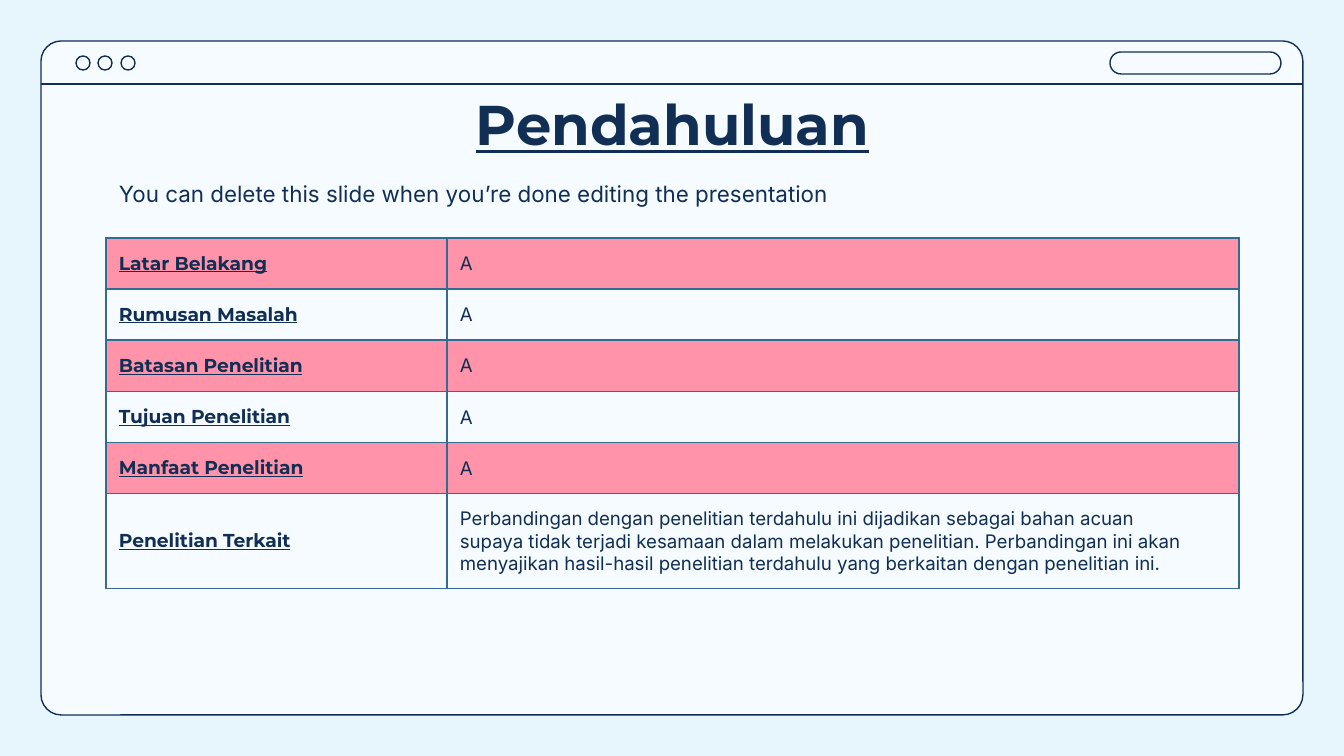
from lxml import etree
from pptx import Presentation
from pptx.dml.color import RGBColor
from pptx.enum.shapes import MSO_CONNECTOR, MSO_SHAPE
from pptx.enum.text import MSO_ANCHOR, MSO_AUTO_SIZE, PP_ALIGN
from pptx.oxml.ns import qn
from pptx.util import Emu, Pt

STRAIGHT = MSO_CONNECTOR.STRAIGHT
ROUNDED, OVAL = MSO_SHAPE.ROUNDED_RECTANGLE, MSO_SHAPE.OVAL
TOP, MIDDLE = MSO_ANCHOR.TOP, MSO_ANCHOR.MIDDLE
LEFT, CENTER = PP_ALIGN.LEFT, PP_ALIGN.CENTER

PX = 914400 / 134.4
INSET = 13
COLORS = {
    "background": "E6F6FC",
    "window": "F5FBFF",
    "navy": "112E54",
    "pink": "FF93A9",
    "border": "356B90",
}
HEADING = {"name": "Montserrat", "bold": True, "underline": True}
BODY = {"name": "Inter", "bold": False, "underline": False}


def px(*lengths):
    """Turn pixel lengths into a list of EMU lengths."""
    return [Emu(round(length * PX)) for length in lengths]


def write(frame, lines, size, font_format, align=LEFT):
    """Fill a text frame with one paragraph per line."""
    for index, line in enumerate(lines):
        para = frame.paragraphs[0] if index == 0 else frame.add_paragraph()
        para.alignment = align
        span = para.add_run()
        span.text = line
        span.font.size = Pt(size)
        span.font.color.rgb = RGBColor.from_string(COLORS["navy"])
        for name, value in font_format.items():
            setattr(span.font, name, value)


deck = Presentation()
deck.slide_width, deck.slide_height = px(1344, 756)
page = deck.slides.add_slide(deck.slide_layouts[5])
page.background.fill.solid()
page.background.fill.fore_color.rgb = RGBColor.from_string(COLORS["background"])

# Browser window: frame, three buttons, address bar, divider
window_parts = [(ROUNDED, (41, 41, 1262, 674), 0.03, "window")]
window_parts += [(OVAL, (76 + 45 * i // 2, 56, 14, 14), None, None) for i in range(3)]
window_parts.append((ROUNDED, (1110, 52, 171, 22), 0.5, None))
for kind, place, rounding, fill in window_parts:
    part = page.shapes.add_shape(kind, *px(*place))
    part.shadow.inherit = False
    part.line.color.rgb = RGBColor.from_string(COLORS["navy"])
    part.line.width = Pt(0.75)
    if rounding:
        part.adjustments[0] = rounding
    if fill:
        part.fill.solid()
        part.fill.fore_color.rgb = RGBColor.from_string(COLORS[fill])
    else:
        part.fill.background()

divider = page.shapes.add_connector(STRAIGHT, *px(41, 84, 1303, 84))
divider.line.color.rgb = RGBColor.from_string(COLORS["navy"])
divider.line.width = Pt(0.75)
etree.SubElement(divider.element.spPr, qn("a:effectLst"))

# Title and subtitle, with the title brought in front of the window
title = page.shapes.title
title.element.getparent().append(title.element)
title.left, title.top, title.width, title.height = px(106, 77, 1133, 85)
subtitle = page.shapes.add_textbox(*px(106, 167, 1133, 51))
frame_format = {"word_wrap": True, "auto_size": MSO_AUTO_SIZE.NONE, "vertical_anchor": TOP}
for side in ("left", "top", "right", "bottom"):
    frame_format[f"margin_{side}"] = px(INSET)[0]
for box in (title, subtitle):
    for name, value in frame_format.items():
        setattr(box.text_frame, name, value)
write(title.text_frame, ["Pendahuluan"], 30, HEADING, CENTER)
write(
    subtitle.text_frame,
    ["You can delete this slide when you’re done editing the presentation"],
    12,
    BODY,
)

# Table of sections, every other row pink
sections = [
    ("Latar Belakang", ["A"]),
    ("Rumusan Masalah", ["A"]),
    ("Batasan Penelitian", ["A"]),
    ("Tujuan Penelitian", ["A"]),
    ("Manfaat Penelitian", ["A"]),
    ("Penelitian Terkait", [
        "Perbandingan dengan penelitian terdahulu ini dijadikan sebagai bahan acuan",
        "supaya tidak terjadi kesamaan dalam melakukan penelitian. Perbandingan ini akan",
        "menyajikan hasil-hasil penelitian terdahulu yang berkaitan dengan penelitian ini.",
    ]),
]
column_widths = px(341, 792)
row_heights = px(51, 51, 52, 51, 51, 95)
table = page.shapes.add_table(
    len(sections), 2, *px(106, 238), sum(column_widths), sum(row_heights)
).table
table.first_row = table.horz_banding = False
for column, width in zip(table.columns, column_widths):
    column.width = width

for index, (row, height, (name, lines)) in enumerate(zip(table.rows, row_heights, sections)):
    row.height = height
    for cell, content, font_format in zip(row.cells, ([name], lines), (HEADING, BODY)):
        cell.vertical_anchor = MIDDLE
        cell.margin_left, cell.margin_top, cell.margin_right, cell.margin_bottom = px(*[INSET] * 4)
        write(cell.text_frame, content, 10, font_format)
        properties = cell._tc.get_or_add_tcPr()
        for side in ("L", "R", "T", "B"):
            border = etree.SubElement(properties, qn(f"a:ln{side}"), w=str(Pt(0.75)))
            solid = etree.SubElement(border, qn("a:solidFill"))
            etree.SubElement(solid, qn("a:srgbClr"), val=COLORS["border"])
        if index % 2 == 0:
            cell.fill.solid()
            cell.fill.fore_color.rgb = RGBColor.from_string(COLORS["pink"])
        else:
            cell.fill.background()

deck.save("out.pptx")
